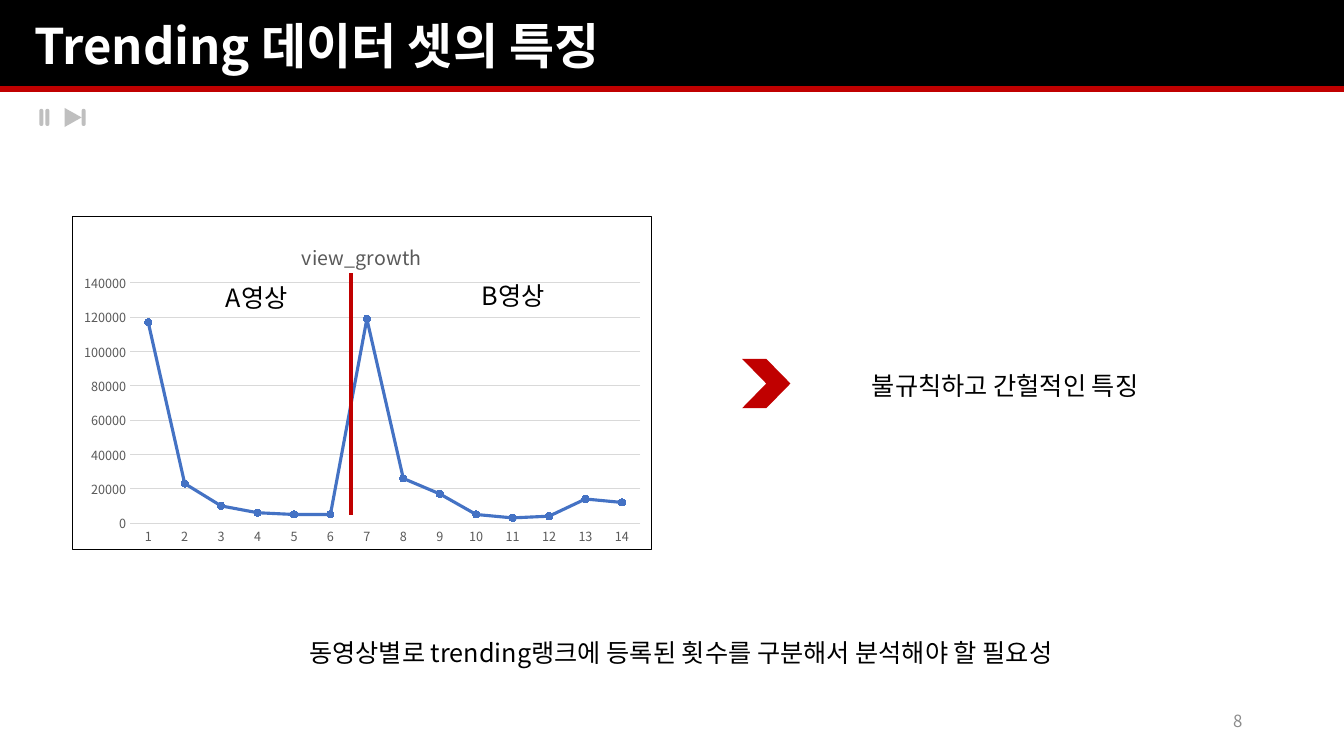
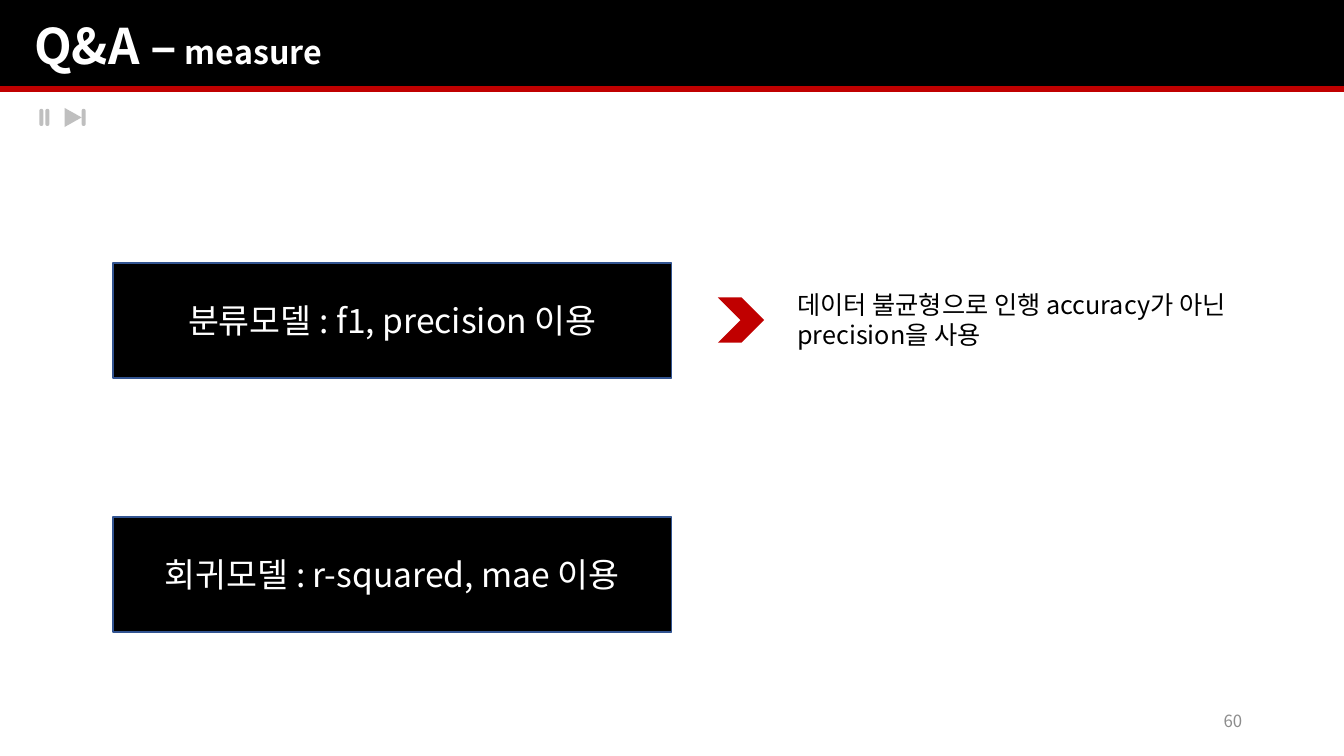
from lxml import etree
from pptx import Presentation
from pptx.chart.data import CategoryChartData
from pptx.dml.color import RGBColor
from pptx.enum.chart import XL_CHART_TYPE as ChartType, XL_MARKER_STYLE as Marker, XL_TICK_MARK as Tick
from pptx.enum.shapes import MSO_CONNECTOR as Connector, MSO_SHAPE as Shape
from pptx.enum.text import MSO_ANCHOR as Anchor, PP_ALIGN as Align
from pptx.oxml.ns import qn
from pptx.util import Pt

PX = 9144  # EMU; 100 px to the inch
WIDTH, HEIGHT = 1333, 750
FONT = "Noto Sans CJK KR"

BLACK = RGBColor(0x00, 0x00, 0x00)
WHITE = RGBColor(0xFF, 0xFF, 0xFF)
RED = RGBColor(0xC0, 0x00, 0x00)
ICON_GRAY = RGBColor(0xBF, 0xBF, 0xBF)
NUMBER_GRAY = RGBColor(0x8C, 0x8C, 0x8C)
LABEL_GRAY = RGBColor(0x59, 0x59, 0x59)
GRID_GRAY = RGBColor(0xD9, 0xD9, 0xD9)
SERIES_BLUE = RGBColor(0x44, 0x72, 0xC4)
BOX_BLUE = RGBColor(0x32, 0x54, 0x91)

TITLE = {"size": Pt(35), "bold": True, "color": WHITE}
SUBTITLE = {**TITLE, "size": Pt(23)}
BODY = {"size": Pt(18), "color": BLACK}
BOX_LABEL = {"size": Pt(24), "color": WHITE}
PAGE_NUMBER = {"size": Pt(12), "color": NUMBER_GRAY}
CHART_TITLE = {"size": Pt(14), "bold": False, "color": LABEL_GRAY}
AXIS_LABEL = {"size": Pt(9), "color": LABEL_GRAY}

PLAYER_ICONS = [
    (Shape.ISOSCELES_TRIANGLE, (63, 108, 19, 17), 90),
    (Shape.ROUNDED_RECTANGLE, (81, 108, 4, 17), 0),
    (Shape.ROUNDED_RECTANGLE, (39, 108, 4, 17), 0),
    (Shape.ROUNDED_RECTANGLE, (45, 108, 4, 17), 0),
]

VIEW_GROWTH = [117000, 23000, 10000, 6000, 5000, 5000, 119000,
               26000, 17000, 5000, 3000, 4000, 14000, 12000]

SLIDES = [
    {
        "title": [("Trending 데이터 셋의 특징", TITLE)],
        "number": "8",
        "chart": ("view_growth", VIEW_GROWTH, (71, 214, 576, 332)),
        "divider": (348, 271, 348, 511),
        "chevron": (736, 356, 48, 49),
        "texts": [
            ("A영상", (214, 275, 88, 40)),
            ("B영상", (468, 273, 98, 40)),
            ("불규칙하고 간헐적인 특징", (855, 362, 456, 40)),
            ("동영상별로 trending랭크에 등록된 횟수를 구분해서 분석해야 할 필요성",
             (297, 627, 763, 71)),
        ],
    },
    {
        "title": [("Q&A –", TITLE), (" measure", SUBTITLE)],
        "number": "60",
        "boxes": ["분류모델 : f1, precision 이용", "회귀모델 : r-squared, mae 이용"],
        "chevron": (712, 295, 46, 45),
        "texts": [
            ("데이터 불균형으로 인행 accuracy가 아닌 precision을 사용",
             (781, 282, 480, 71)),
        ],
    },
]
BOX_LEFT, BOX_TOP, BOX_WIDTH, BOX_HEIGHT, BOX_STEP = 112, 261, 554, 114, 252


def emu(lengths):
    return [length * PX for length in lengths]


def style_font(font, style):
    font.name = FONT
    for name, value in style.items():
        if name == "color":
            font.color.rgb = value
        else:
            setattr(font, name, value)


def fill_text(shape, runs, align=Align.LEFT, anchor=Anchor.TOP):
    frame = shape.text_frame
    frame.word_wrap = True
    frame.vertical_anchor = anchor
    para = frame.paragraphs[0]
    para.alignment = align
    for text, style in runs:
        span = para.add_run()
        span.text = text
        style_font(span.font, style)
        east_asian = etree.SubElement(span.font._element, qn("a:ea"))
        east_asian.set("typeface", FONT)


def add_text(slide, at, runs, **placing):
    fill_text(slide.shapes.add_textbox(*emu(at)), runs, **placing)


def add_block(slide, kind, at, color, outline=None):
    block = slide.shapes.add_shape(kind, *emu(at))
    block.shadow.inherit = False
    block.fill.solid()
    block.fill.fore_color.rgb = color
    if outline is None:
        block.line.fill.background()
    else:
        block.line.color.rgb = outline
        block.line.width = Pt(1)
    return block


def add_line(slide, ends, width):
    line = slide.shapes.add_connector(Connector.STRAIGHT, *emu(ends))
    line.line.color.rgb = RED
    line.line.width = Pt(width)
    etree.SubElement(line._element.spPr, qn("a:effectLst"))


def set_layout(part, index, inner=False, **fractions):
    """Place a chart part by fractions of the chart's width and height."""
    old = part.find(qn("c:layout"))
    if old is not None:
        part.remove(old)
    layout = etree.Element(qn("c:layout"))
    part.insert(index, layout)
    manual = etree.SubElement(layout, qn("c:manualLayout"))
    values = {"layoutTarget": "inner"} if inner else {}
    values.update(xMode="edge", yMode="edge", **fractions)
    for name, value in values.items():
        etree.SubElement(manual, qn(f"c:{name}")).set("val", str(value))


def frame_chart(chart):
    """Give the chart area square corners and a thin black border."""
    space = chart._chartSpace
    if space.find(qn("c:roundedCorners")) is None:
        corners = etree.Element(qn("c:roundedCorners"))
        corners.set("val", "0")
        space.find(qn("c:date1904")).addnext(corners)
    area = etree.Element(qn("c:spPr"))
    etree.SubElement(area, qn("a:noFill"))
    border = etree.SubElement(area, qn("a:ln"))
    border.set("w", str(Pt(0.75)))
    fill = etree.SubElement(border, qn("a:solidFill"))
    etree.SubElement(fill, qn("a:srgbClr")).set("val", str(BLACK))
    space.find(qn("c:chart")).addnext(area)


def add_line_chart(slide, name, values, at):
    data = CategoryChartData()
    data.categories = [str(day) for day in range(1, len(values) + 1)]
    data.add_series(name, values)
    chart = slide.shapes.add_chart(ChartType.LINE_MARKERS_STACKED, *emu(at), data).chart
    chart.has_legend = False
    style_font(chart.font, {"size": Pt(10), "color": BLACK})
    frame_chart(chart)

    chart.has_title = True
    para = chart.chart_title.text_frame.paragraphs[0]
    span = para.add_run()
    span.text = name
    style_font(span.font, CHART_TITLE)
    set_layout(chart.chart_title._element, 1, x=0.39, y=0.06)
    plot_area = chart._chartSpace.find(qn("c:chart")).find(qn("c:plotArea"))
    set_layout(plot_area, 0, inner=True, x=0.1, y=0.2, w=0.88, h=0.72)

    days, views = chart.category_axis, chart.value_axis
    for axis in (days, views):
        axis.major_tick_mark = axis.minor_tick_mark = Tick.NONE
        style_font(axis.tick_labels.font, AXIS_LABEL)
    views.maximum_scale, views.minimum_scale, views.major_unit = 140000, 0, 20000
    views.has_major_gridlines = True
    views.format.line.fill.background()
    for line in (days.format.line, views.major_gridlines.format.line):
        line.color.rgb = GRID_GRAY
        line.width = Pt(0.75)

    plot = chart.plots[0]
    plot.vary_by_categories = False
    series = plot.series[0]
    series.smooth = False
    series.format.line.color.rgb = SERIES_BLUE
    series.format.line.width = Pt(2.25)
    series.marker.style = Marker.CIRCLE
    series.marker.size = 5
    series.marker.format.fill.solid()
    series.marker.format.fill.fore_color.rgb = SERIES_BLUE
    series.marker.format.line.color.rgb = SERIES_BLUE


def add_frame(slide, title, number):
    """Draw the title band, player icons and page number."""
    add_block(slide, Shape.RECTANGLE, (0, 0, WIDTH, 89), BLACK)
    add_text(slide, (24, 10, 784, 69), title)
    add_line(slide, (0, 88, WIDTH, 88), 4.5)
    for kind, at, turn in PLAYER_ICONS:
        icon = add_block(slide, kind, at, ICON_GRAY)
        icon.rotation = turn
        icon.adjustments[0] = 0.5
    add_text(slide, (942, 695, 300, 40), [(number, PAGE_NUMBER)],
             align=Align.RIGHT, anchor=Anchor.MIDDLE)


def add_slide(deck, content):
    slide = deck.slides.add_slide(deck.slide_layouts[6])
    add_frame(slide, content["title"], content["number"])
    if "chart" in content:
        add_line_chart(slide, *content["chart"])
        add_line(slide, content["divider"], 3)
    for row, label in enumerate(content.get("boxes", [])):
        at = (BOX_LEFT, BOX_TOP + row * BOX_STEP, BOX_WIDTH, BOX_HEIGHT)
        box = add_block(slide, Shape.RECTANGLE, at, BLACK, BOX_BLUE)
        fill_text(box, [(label, BOX_LABEL)], align=Align.CENTER, anchor=Anchor.MIDDLE)
    add_block(slide, Shape.CHEVRON, content["chevron"], RED)
    for text, at in content["texts"]:
        add_text(slide, at, [(text, BODY)])


def main():
    deck = Presentation()
    deck.slide_width, deck.slide_height = emu((WIDTH, HEIGHT))
    for content in SLIDES:
        add_slide(deck, content)
    deck.save("out.pptx")


if __name__ == "__main__":
    main()
